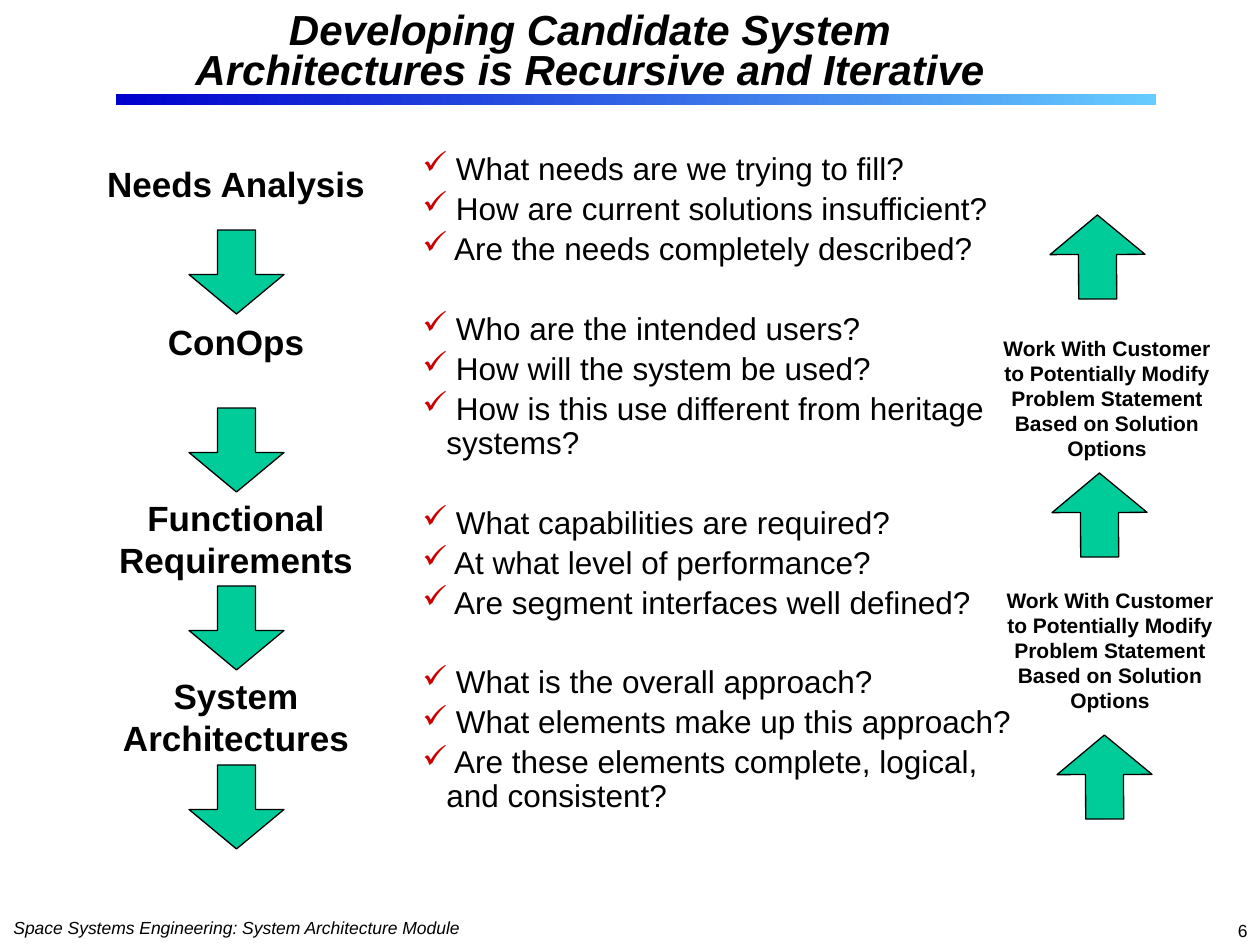
from lxml import etree
from pptx import Presentation
from pptx import util as u
from pptx.dml.color import RGBColor
from pptx.enum import shapes, text
from pptx.oxml.ns import qn

BLACK = RGBColor(0x00, 0x00, 0x00)
GREEN = RGBColor(0x00, 0xCC, 0x99)
RED = RGBColor(0xCC, 0x00, 0x00)
DARK_BLUE = RGBColor(0x00, 0x00, 0xCC)
LIGHT_BLUE = RGBColor(0x66, 0xCC, 0xFF)

LEFT, CENTER, RIGHT = text.PP_ALIGN.LEFT, text.PP_ALIGN.CENTER, text.PP_ALIGN.RIGHT
PX_PER_INCH = 126

STAGES = [
    ("Needs Analysis", 156, 55),
    ("ConOps", 314, 55),
    ("Functional Requirements", 490, 97),
    ("System Architectures", 668, 97),
]
QUESTION_GROUPS = [
    [
        "What needs are we trying to fill?",
        "How are current solutions insufficient?",
        "Are the needs completely described?",
    ],
    [
        "Who are the intended users?",
        "How will the system be used?",
        "How is this use different from heritage systems?",
    ],
    [
        "What capabilities are required?",
        "At what level of performance?",
        "Are segment interfaces well defined?",
    ],
    [
        "What is the overall approach?",
        "What elements make up this approach?",
        "Are these elements complete, logical, and consistent?",
    ],
]
FEEDBACK = (
    "Work With Customer to Potentially Modify Problem Statement "
    "Based on Solution Options"
)


def px(length):
    return u.Emu(round(length * 914400 / PX_PER_INCH))


class SlideBuilder:
    font_name = "Arial"

    def __init__(self, slide):
        self.slide = slide

    def frame(self, left, top, width, height, wrap=True):
        box = self.slide.shapes.add_textbox(px(left), px(top), px(width), px(height))
        box.text_frame.word_wrap = wrap
        return box.text_frame

    def run(self, paragraph, words, size, bold=False, italic=False):
        run = paragraph.add_run()
        run.text = words
        font = run.font
        font.name, font.size = self.font_name, u.Pt(size)
        font.bold, font.italic = bold, italic
        font.color.rgb = BLACK

    def label(self, words, left, top, width, height, size, align=CENTER,
              bold=False, italic=False, wrap=True, spacing=1.0, middle=False):
        frame = self.frame(left, top, width, height, wrap)
        if middle:
            frame.vertical_anchor = text.MSO_ANCHOR.MIDDLE
        paragraph = frame.paragraphs[0]
        paragraph.alignment = align
        paragraph.line_spacing = spacing
        self.run(paragraph, words, size, bold, italic)

    def bullet(self, paragraph, mark, color, indent):
        properties = paragraph._p.get_or_add_pPr()
        properties.set("marL", str(px(indent)))
        properties.set("indent", str(-px(indent)))
        bullet_color = etree.SubElement(properties, qn("a:buClr"))
        etree.SubElement(bullet_color, qn("a:srgbClr"), val=str(color))
        etree.SubElement(properties, qn("a:buChar"), char=mark)

    def checklist(self, groups, left, top, width, height, size, gap, group_gap):
        frame = self.frame(left, top, width, height)
        for group_index, group in enumerate(groups):
            for index, question in enumerate(group):
                first = group_index == index == 0
                paragraph = frame.paragraphs[0] if first else frame.add_paragraph()
                self.bullet(paragraph, "✓", RED, 24)
                paragraph.line_spacing = 0.9
                if not first:
                    paragraph.space_before = u.Pt(gap if index else group_gap)
                self.run(paragraph, " " + question, size)

    def arrow(self, left, top, rotation=0):
        shape = self.slide.shapes.add_shape(
            shapes.MSO_SHAPE.DOWN_ARROW, px(left), px(top), px(95), px(84))
        shape.adjustments[0], shape.adjustments[1] = 0.4, 0.47
        shape.rotation = rotation
        shape.shadow.inherit = False
        shape.fill.solid()
        shape.fill.fore_color.rgb = GREEN
        shape.line.color.rgb = BLACK
        shape.line.width = u.Pt(0.75)

    def gradient_bar(self, left, top, width, height, start, end):
        shape = self.slide.shapes.add_shape(
            shapes.MSO_SHAPE.RECTANGLE, px(left), px(top), px(width), px(height))
        shape.shadow.inherit = False
        shape.line.fill.background()
        shape.fill.gradient()
        shape.fill.gradient_angle = 0
        for stop, color in zip(shape.fill.gradient_stops, (start, end)):
            stop.color.rgb = color


def main():
    presentation = Presentation()
    presentation.slide_width, presentation.slide_height = px(1260), px(945)
    slide = presentation.slides.add_slide(presentation.slide_layouts[6])
    builder = SlideBuilder(slide)

    builder.gradient_bar(116, 94, 1040, 11, DARK_BLUE, LIGHT_BLUE)
    builder.label("Space Systems Engineering: System Architecture Module",
                  1, 911, 471, 34, 10, align=LEFT, italic=True, wrap=False)
    builder.label("Developing Candidate System Architectures is Recursive and Iterative",
                  157, 30, 866, 47, 24, bold=True, italic=True, spacing=0.8, middle=True)
    builder.checklist(QUESTION_GROUPS, 410, 147, 635, 735, 18, 3.4, 26.2)

    for index, (stage, top, height) in enumerate(STAGES):
        builder.label(stage, 63, top, 346, height, 20, bold=True)
        builder.arrow(189, round(229.5 + 178.5 * index))

    for left, top in ((1050, 215), (1052, 473), (1057, 735)):
        builder.arrow(left, top, rotation=179.8)
    for left, top in ((979, 329), (982, 581)):
        builder.label(FEEDBACK, left, top, 256, 139, 12, bold=True)

    builder.label("6", 998, 914, 262, 31, 10, align=RIGHT)
    presentation.save("out.pptx")


if __name__ == "__main__":
    main()
